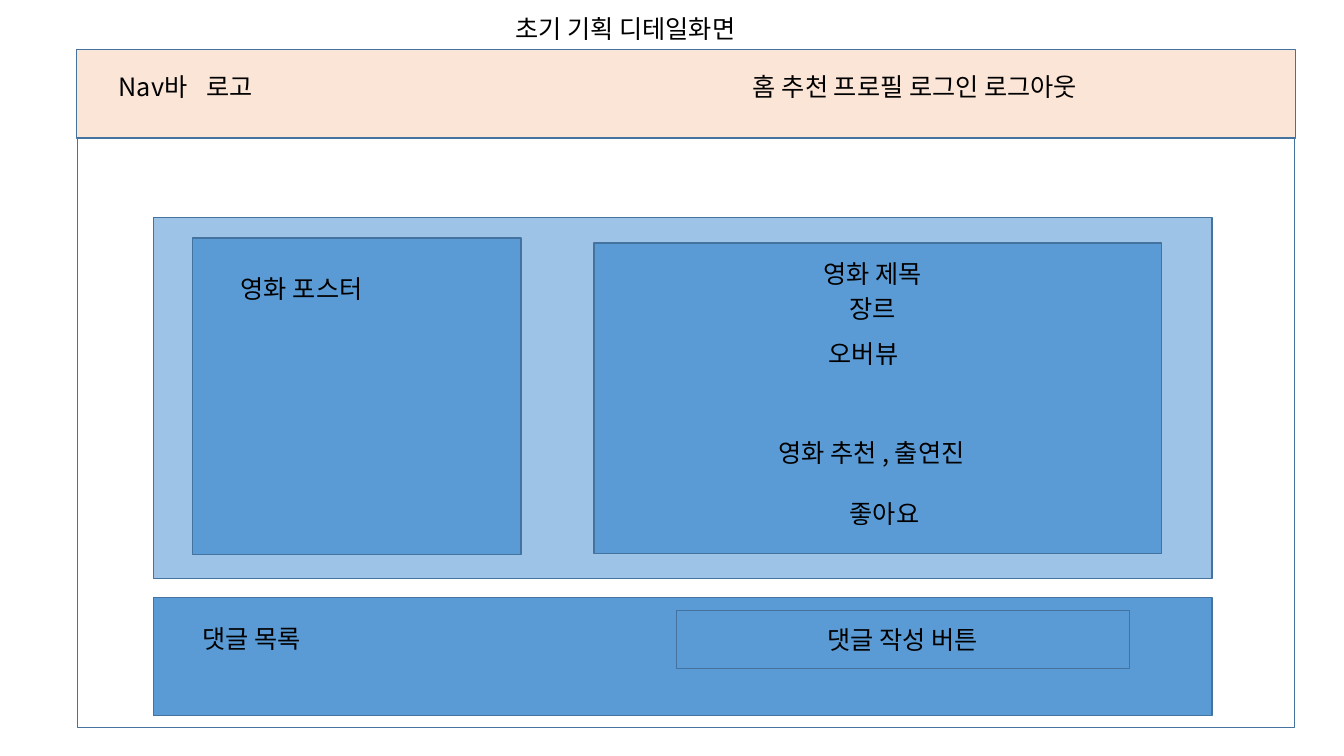
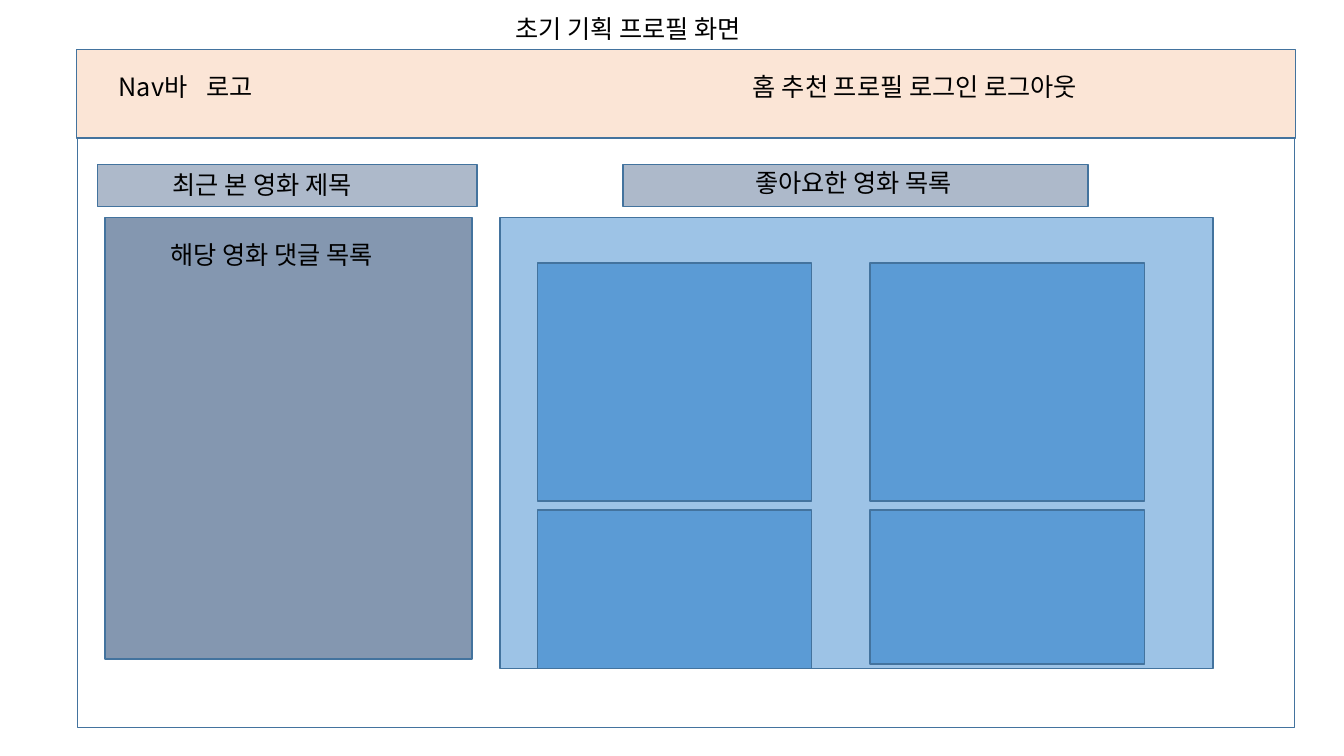
from dataclasses import dataclass

from lxml import etree
from pptx import Presentation
from pptx import util as u
from pptx.dml.color import RGBColor
from pptx.enum import shapes, text
from pptx.oxml.ns import qn

PX = 9144  # EMU per px, 100 px to the inch


@dataclass(frozen=True)
class Theme:
    font: str = "Noto Sans CJK KR"
    size: int = 18
    ink: str = "000000"
    line: str = "43739E"
    line_width: int = 1
    page: str = "FFFFFF"
    nav: str = "FBE5D6"
    panel: str = "9DC3E6"
    card: str = "5B9BD5"
    heading: str = "ADB9CA"
    comments: str = "8497B0"


T = Theme()


def px(*lengths):
    return [u.Emu(n * PX) for n in lengths]


# Elements

def write(tf, content, align=text.PP_ALIGN.LEFT, anchor=text.MSO_ANCHOR.TOP,
          size=T.size, color=T.ink, tabs=()):
    """Fill a text frame with one formatted paragraph."""
    tf.word_wrap = True
    tf.auto_size = text.MSO_AUTO_SIZE.NONE
    tf.vertical_anchor = anchor
    p = tf.paragraphs[0]
    p.alignment = align
    p.line_spacing = 1.0
    if tabs:
        tab_list = etree.SubElement(p._p.get_or_add_pPr(), qn("a:tabLst"))
        for pos in px(*tabs):
            etree.SubElement(tab_list, qn("a:tab"), pos=str(pos), algn="l")
    r = p.add_run()
    r.text = content
    r.font.size = u.Pt(size)
    r.font.color.rgb = RGBColor.from_string(color)
    r.font.name = T.font
    etree.SubElement(r._r.get_or_add_rPr(), qn("a:ea"), typeface=T.font)


def add_box(s, x, y, w, h, fill):
    sp = s.shapes.add_shape(shapes.MSO_SHAPE.RECTANGLE, *px(x, y, w, h))
    sp.shadow.inherit = False
    sp.fill.solid()
    sp.fill.fore_color.rgb = RGBColor.from_string(fill)
    sp.line.color.rgb = RGBColor.from_string(T.line)
    sp.line.width = u.Pt(T.line_width)
    return sp


def add_label(s, x, y, w, content, **fmt):
    sp = s.shapes.add_textbox(*px(x, y, w, 40))
    write(sp.text_frame, content, **fmt)


def add_screen(prs, title):
    """Title, page frame and navigation bar shared by every screen."""
    s = prs.slides.add_slide(prs.slide_layouts[5])
    ph = s.shapes.title
    ph.left, ph.top, ph.width, ph.height = px(501, 8, 384, 41)
    write(ph.text_frame, title)
    add_box(s, 77, 49, 1207, 673, T.page)
    add_box(s, 76, 49, 1209, 88, T.nav)
    add_label(s, 108, 66, 1156, "Nav바\t로고\t홈 추천 프로필 로그인 로그아웃",
              tabs=(87, 629))
    return s


# Slides

def detail_screen(prs):
    s = add_screen(prs, "초기 기획 디테일화면")

    # Poster and movie information
    add_box(s, 152, 216, 1050, 358, T.panel)
    add_box(s, 191, 236, 326, 314, T.card)
    add_label(s, 229, 266, 254, "영화 포스터")
    add_box(s, 589, 241, 563, 308, T.card)
    for x, y, content in (
        (807, 251, "영화 제목"),
        (833, 286, "장르"),
        (812, 331, "오버뷰"),
        (762, 429, "영화 추천 , 출연진"),
        (833, 489, "좋아요"),
    ):
        add_label(s, x, y, 245, content)

    # Comments
    add_box(s, 152, 593, 1050, 117, T.card)
    add_label(s, 191, 613, 399, "댓글 목록")
    button = add_box(s, 671, 606, 449, 57, T.card)
    write(button.text_frame, "댓글 작성 버튼", align=text.PP_ALIGN.CENTER,
          anchor=text.MSO_ANCHOR.MIDDLE)


def profile_screen(prs):
    s = add_screen(prs, "초기 기획 프로필 화면")

    # Liked movies: two by two cards
    add_box(s, 496, 216, 707, 447, T.panel)
    for x, lower_height in ((533, 157), (863, 153)):
        for y, h in ((261, 236), (506, lower_height)):
            add_box(s, x, y, 272, h, T.card)
    add_box(s, 618, 163, 461, 42, T.heading)
    add_label(s, 739, 161, 247, "좋아요한 영화 목록")

    # Recently viewed movie and its comments
    add_box(s, 97, 163, 376, 42, T.heading)
    add_label(s, 161, 163, 264, "최근 본 영화 제목")
    add_box(s, 104, 216, 364, 438, T.comments)
    add_label(s, 159, 233, 293, "해당 영화 댓글 목록")


def main():
    prs = Presentation()
    prs.slide_width, prs.slide_height = px(1333, 750)
    detail_screen(prs)
    profile_screen(prs)
    prs.save("out.pptx")


if __name__ == "__main__":
    main()
